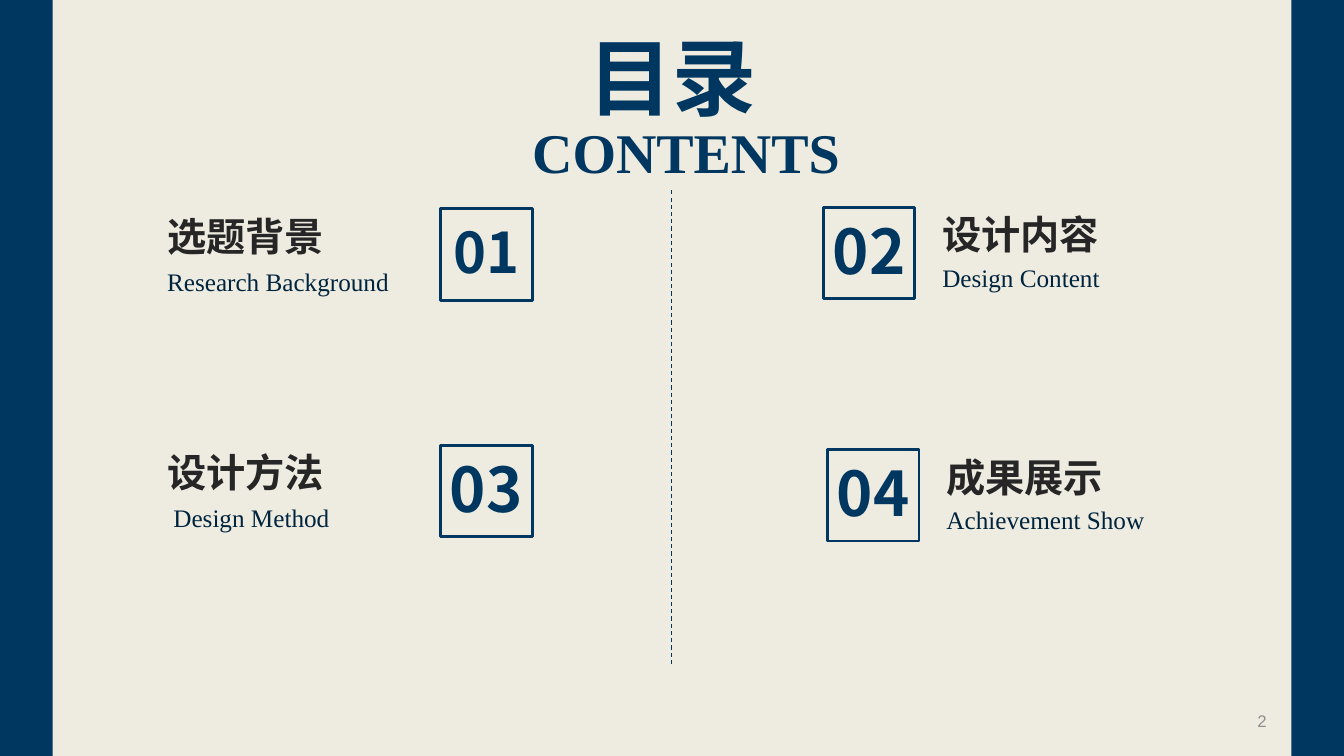
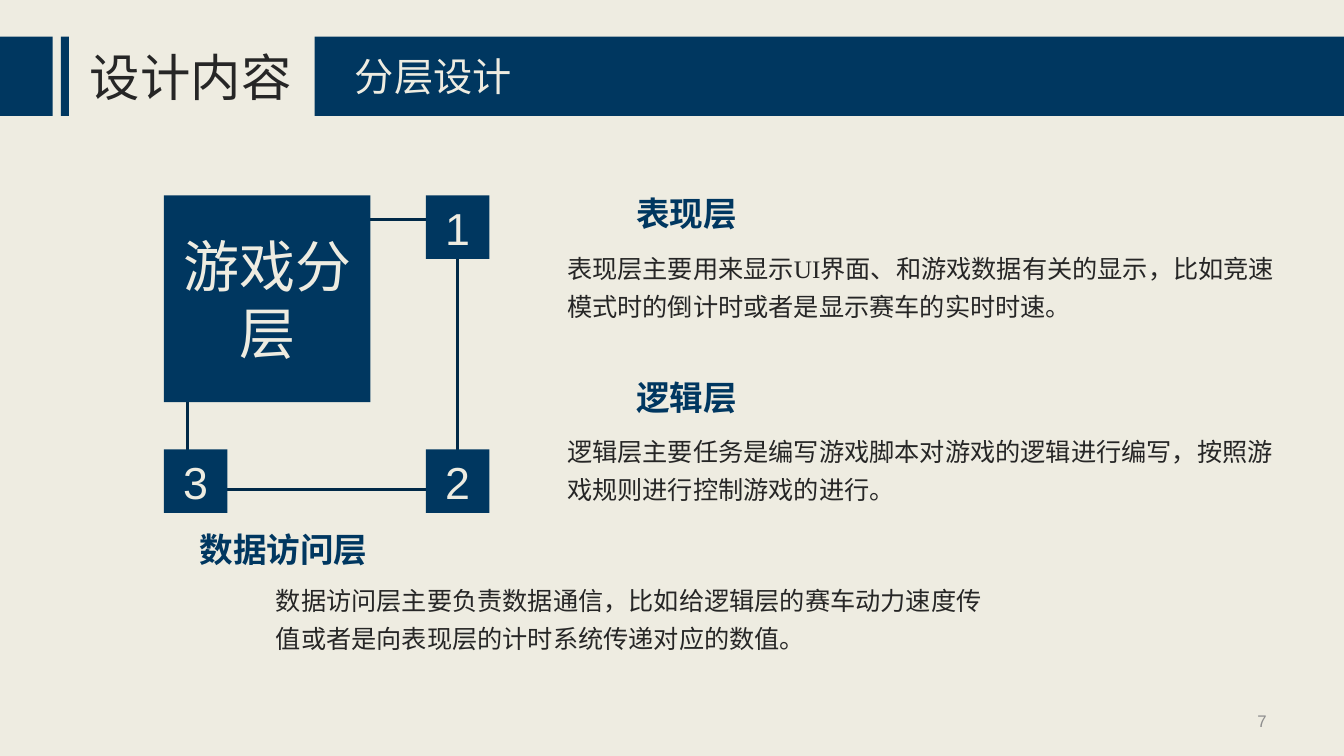
from lxml import etree
from pptx import Presentation
from pptx.dml.color import RGBColor
from pptx.enum.dml import MSO_LINE
from pptx.enum.shapes import MSO_CONNECTOR, MSO_SHAPE
from pptx.enum.text import MSO_ANCHOR, MSO_AUTO_SIZE, PP_ALIGN
from pptx.oxml.ns import qn
from pptx.util import Pt

LEFT, CENTER, RIGHT = PP_ALIGN.LEFT, PP_ALIGN.CENTER, PP_ALIGN.RIGHT
TOP, MIDDLE = MSO_ANCHOR.TOP, MSO_ANCHOR.MIDDLE
NO_AUTOFIT = MSO_AUTO_SIZE.NONE
RECTANGLE = MSO_SHAPE.RECTANGLE
STRAIGHT = MSO_CONNECTOR.STRAIGHT
DASH = MSO_LINE.DASH

COLORS = {
    "paper": "EEECE1", "navy": "003760", "text": "262626",
    "english": "00243E", "frame": "002947", "divider": "00365E", "number": "8E8E8E",
}
COLOR = {name: RGBColor.from_string(value) for name, value in COLORS.items()}
CJK, SERIF, SANS = "Noto Sans CJK SC", "Times New Roman", "Arial"


def write(box, text, size, font, color, bold=False, align=LEFT, anchor=TOP, spacing=1.0):
    """Fill a box with one formatted paragraph."""
    frame = box.text_frame
    frame.text = text
    frame.word_wrap = True
    frame.auto_size = NO_AUTOFIT
    frame.vertical_anchor = anchor
    para = frame.paragraphs[0]
    para.alignment = align
    para.line_spacing = spacing
    para.font.size = Pt(size)
    para.font.bold = bold
    para.font.color.rgb = COLOR[color]
    para.font.name = font
    defaults = para._p.pPr.find(qn("a:defRPr"))
    etree.SubElement(defaults, qn("a:ea")).set("typeface", CJK)


def add_box(page, place, fill=None, line=None):
    """Add a rectangle, or a text box when it has neither fill nor line."""
    place = [Pt(value) for value in place]
    if not (fill or line):
        return page.shapes.add_textbox(*place)
    box = page.shapes.add_shape(RECTANGLE, *place)
    box.shadow.inherit = False
    if fill:
        box.fill.solid()
        box.fill.fore_color.rgb = COLOR[fill]
    else:
        box.fill.background()
    if line:
        box.line.color.rgb = COLOR[line]
        box.line.width = Pt(2)
    else:
        box.line.fill.background()
    return box


# Deck, shared background, titles and page numbers
deck = Presentation()
deck.slide_width, deck.slide_height = Pt(960), Pt(540)
background = deck.slide_master.background.fill
background.solid()
background.fore_color.rgb = COLOR["paper"]

pages = []
for title, place, size, font, color, bold, align, number in [
    ("目录", (389, 14.4, 183, 80), 60, CJK, "navy", True, CENTER, "2"),
    ("设计内容", (57, 29, 166, 51), 36, SANS, "text", False, LEFT, "7"),
]:
    page = deck.slides.add_slide(deck.slide_layouts[5])
    heading = page.shapes.title
    heading.left, heading.top, heading.width, heading.height = [Pt(v) for v in place]
    write(heading, title, size, font, color, bold, align)
    footer = add_box(page, (688, 500, 224, 29))
    write(footer, number, 12, SANS, "number", align=RIGHT, anchor=MIDDLE)
    pages.append(page)
contents, layers = pages

# Contents: side bands, subtitle and divider
for band_left in (0, 922.4):
    add_box(contents, (band_left, 0, 37.6, 540), "navy")
subtitle = add_box(contents, (353, 80.6, 254, 55))
write(subtitle, "CONTENTS", 40, SERIF, "navy", True, RIGHT)

divider = contents.shapes.add_connector(STRAIGHT, Pt(480), Pt(136), Pt(480), Pt(474))
divider.line.color.rgb = COLOR["divider"]
divider.line.width = Pt(0.75)
divider.line.dash_style = DASH
etree.SubElement(divider._element.spPr, qn("a:effectLst"))

# Contents: four numbered chapters
for number, size, chapter, english, square_left, top, text_left, indent, drop in [
    ("01", 40, "选题背景", "Research Background", 314.6, 149, 112.3, 0, 38.7),
    ("02", 44, "设计内容", "Design Content", 588, 148, 666, 0, 36.5),
    ("03", 44, "设计方法", "Design Method", 314.6, 318, 112.3, 4.5, 38.2),
    ("04", 44, "成果展示", "Achievement Show", 591, 321, 669, 0, 36.5),
]:
    square = add_box(contents, (square_left, top, 65.5, 65.5), line="navy")
    write(square, number, size, CJK, "navy", True, CENTER, MIDDLE)
    frame = square.text_frame
    frame.margin_left = frame.margin_right = frame.margin_top = 0
    frame.margin_bottom = Pt(5)
    name_box = add_box(contents, (text_left, top - 1, 189, 41))
    write(name_box, chapter, 28, CJK, "text", True)
    english_box = add_box(contents, (text_left + indent, top - 1 + drop, 189, 29))
    write(english_box, english, 18, SERIF, "english")

# Layers: header band
for left, width in ((0, 37.6), (43.4, 5.8)):
    add_box(layers, (left, 26.2, width, 56.6), "navy")
band = add_box(layers, (224.8, 26.2, 735.2, 56.6), "navy")
write(band, "分层设计", 28, SANS, "paper", anchor=MIDDLE)
band.text_frame.margin_left = Pt(28.8)

# Layers: ring with its main box and three nodes
add_box(layers, (134, 156.6, 193, 193), "paper", "frame")
for label, left, top, side, size in [
    ("游戏分层", 117, 139.6, 147.6, 40),
    ("1", 304.2, 139.6, 45.4, 32),
    ("2", 304.2, 321, 45.4, 32),
    ("3", 117, 321, 45.4, 32),
]:
    node = add_box(layers, (left, top, side, side), "navy")
    write(node, label, size, SANS, "paper", align=CENTER, anchor=MIDDLE)

# Layers: headings and descriptions
for name, name_left, name_top, description, left, top, width in [
    ("表现层", 389.5, 134,
     "表现层主要用来显示UI界面、和游戏数据有关的显示，比如竞速模式时的倒计时或者是显示赛车的实时时速。",
     398, 172, 524),
    ("逻辑层", 389.5, 266,
     "逻辑层主要任务是编写游戏脚本对游戏的逻辑进行编写，按照游戏规则进行控制游戏的进行。",
     398, 303, 524),
    ("数据访问层", 101.5, 374,
     "数据访问层主要负责数据通信，比如给逻辑层的赛车动力速度传值或者是向表现层的计时系统传递对应的数值。",
     190, 409.5, 529),
]:
    name_box = add_box(layers, (name_left, name_top, 202, 36))
    write(name_box, name, 24, SERIF, "navy", True, CENTER)
    description_box = add_box(layers, (left, top, width, 62))
    write(description_box, description, 18, SERIF, "text", spacing=1.25)

deck.save("out.pptx")
